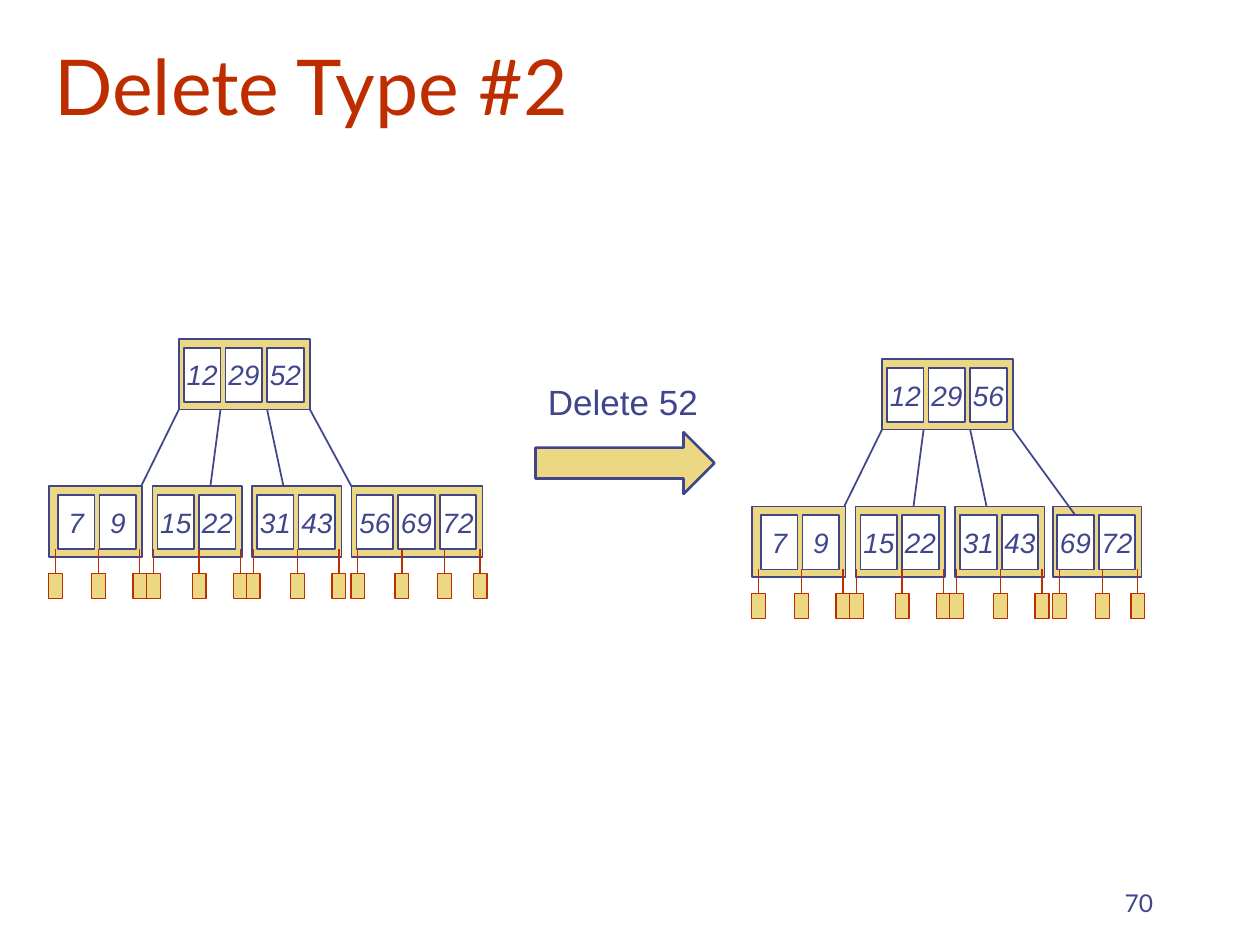
from lxml.etree import SubElement
from pptx import Presentation
from pptx.dml.color import RGBColor
from pptx.enum.shapes import MSO_CONNECTOR as LINK, MSO_SHAPE as SHAPE
from pptx.enum.text import MSO_ANCHOR as ANCHOR, MSO_AUTO_SIZE as FIT, PP_ALIGN as ALIGN
from pptx.oxml.ns import qn
from pptx.util import Inches, Pt

NAVY, RED, GOLD, WHITE = "40458C", "BE2D00", "ECD882", "FFFFFF"

ROOT_LEFT, ROOT_WIDTH, ROOT_PAD = 1.42, 1.04, 0.04
NODE_HEIGHT, KEY_WIDTH, KEY_HEIGHT, KEY_STEP, KEY_DROP = 0.56, 0.29, 0.43, 0.33, 0.07
LEVEL_DROP = 1.17
LEAF_WIDTH, LEAF_HEIGHT, LEAF_DROP, STEM = 0.11, 0.2, 0.69, 0.19
BRANCHES = [(1.42, 1.12), (1.75, 1.67), (2.12, 2.25)]
LAST_BRANCH = 2.46

SHARED_CHILDREN = [
    (0.39, 0.74, 0.07, ["7", "9"], [0.44, 0.78, 1.11]),
    (1.21, 0.71, 0.04, ["15", "22"], [1.22, 1.58, 1.91]),
    (2.0, 0.71, 0.04, ["31", "43"], [2.01, 2.36, 2.69]),
]
TREES = [
    {"shift": 0, "top": 2.69, "root": ["12", "29", "52"], "joins_key": False,
     "last": (2.79, 1.04, 0.04, ["56", "69", "72"], [2.84, 3.19, 3.53, 3.81])},
    {"shift": 5.58, "top": 2.85, "root": ["12", "29", "56"], "joins_key": True,
     "last": (2.78, 0.7, 0.03, ["69", "72"], [2.83, 3.17, 3.45])},
]

deck = Presentation()
deck.slide_width, deck.slide_height = Inches(10), Inches(7.5)
page = deck.slides.add_slide(deck.slide_layouts[5])


def color(value):
    return RGBColor.from_string(value)


def write(box, text, size, font, ink=NAVY, align=ALIGN.LEFT, anchor=ANCHOR.TOP,
          wrap=True, italic=False):
    frame = box.text_frame
    frame.text = text
    frame.auto_size = FIT.NONE
    frame.word_wrap = wrap
    frame.vertical_anchor = anchor
    para = frame.paragraphs[0]
    para.alignment = align
    span = para.runs[0].font
    span.name, span.size, span.italic = font, Pt(size), italic
    span.color.rgb = color(ink)


def add_text(left, top, width, height, *args, **options):
    box = page.shapes.add_textbox(Inches(left), Inches(top), Inches(width), Inches(height))
    write(box, *args, **options)


def add_block(left, top, width, height, fill=GOLD, line=NAVY, weight=1, kind=SHAPE.RECTANGLE):
    block = page.shapes.add_shape(kind, Inches(left), Inches(top), Inches(width), Inches(height))
    block.shadow.inherit = False
    block.fill.solid()
    block.fill.fore_color.rgb = color(fill)
    block.line.color.rgb = color(line)
    block.line.width = Pt(weight)
    return block


def add_line(x1, y1, x2, y2, ink=NAVY, weight=1, target=None):
    line = page.shapes.add_connector(LINK.STRAIGHT, Inches(x1), Inches(y1), Inches(x2), Inches(y2))
    line.line.color.rgb = color(ink)
    line.line.width = Pt(weight)
    SubElement(line._element.spPr, qn("a:effectLst"))
    if target is not None:
        line.end_connect(target, 0)


def add_node(left, top, width, pad, keys):
    node = add_block(left, top, width, NODE_HEIGHT)
    cells = []
    for index, key in enumerate(keys):
        cell = add_block(left + pad + index * KEY_STEP, top + KEY_DROP,
                         KEY_WIDTH, KEY_HEIGHT, WHITE)
        write(cell, key, 16, "Arial", align=ALIGN.CENTER, anchor=ANCHOR.MIDDLE,
              wrap=False, italic=True)
        cells.append(cell)
    return node, cells


def add_leaf(center, top):
    leaf = add_block(center - LEAF_WIDTH / 2, top, LEAF_WIDTH, LEAF_HEIGHT, GOLD, RED, 0.75)
    add_line(center, top - STEM, center, top, RED, 0.75, leaf)


def add_tree(tree):
    shift, top = tree["shift"], tree["top"]
    child_top, root_bottom = top + LEVEL_DROP, top + NODE_HEIGHT
    add_node(ROOT_LEFT + shift, top, ROOT_WIDTH, ROOT_PAD, tree["root"])
    for left, width, pad, keys, leaves in SHARED_CHILDREN + [tree["last"]]:
        node, cells = add_node(left + shift, child_top, width, pad, keys)
        for center in leaves:
            add_leaf(center + shift, child_top + LEAF_DROP)
    for start, end in BRANCHES:
        add_line(start + shift, root_bottom, end + shift, child_top)
    last_left = tree["last"][0]
    add_line(LAST_BRANCH + shift, root_bottom, last_left + shift, child_top,
             target=cells[0] if tree["joins_key"] else None)


title = page.shapes.title
title.left, title.top, title.width, title.height = map(Inches, (0.33, 0.17, 9.5, 0.92))
write(title, "Delete Type #2", 44, "Lato", RED, anchor=ANCHOR.BOTTOM)

for tree in TREES:
    add_tree(tree)

add_block(4.25, 3.43, 1.42, 0.49, weight=1.5, kind=SHAPE.RIGHT_ARROW)
add_text(4.25, 2.97, 1.42, 0.44, "Delete 52", 20, "Arial")
add_text(7.17, 6.83, 2.08, 0.5, "70", 14, "Lato", align=ALIGN.RIGHT, anchor=ANCHOR.BOTTOM)

deck.save("out.pptx")
